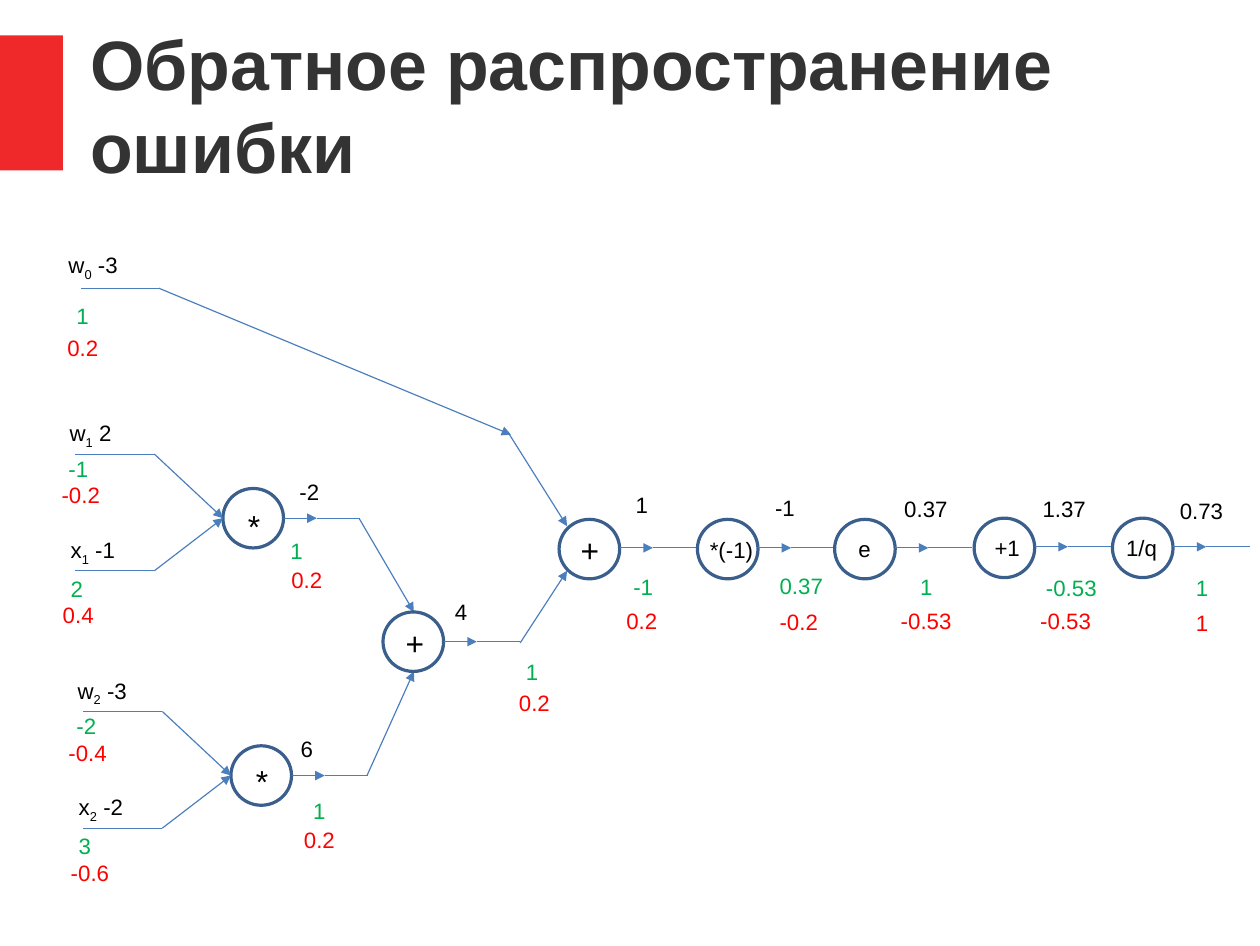
"""Draw the backpropagation slide: a computational graph with values and gradients."""
from dataclasses import dataclass
from math import ceil

from pptx import Presentation
from pptx.dml.color import RGBColor
from pptx.enum.shapes import MSO_CONNECTOR, MSO_SHAPE
from pptx.enum.text import MSO_ANCHOR, MSO_AUTO_SIZE
from pptx.oxml.ns import qn
from pptx.util import Emu, Pt

PX = 9144
OVAL, RECT = MSO_SHAPE.OVAL, MSO_SHAPE.RECTANGLE
STRAIGHT = MSO_CONNECTOR.STRAIGHT
MIDDLE, TOP = MSO_ANCHOR.MIDDLE, MSO_ANCHOR.TOP
GROW, FIXED = MSO_AUTO_SIZE.SHAPE_TO_FIT_TEXT, MSO_AUTO_SIZE.NONE
NODE_W, NODE_H = 53, 52
ARROW_W, OUTPUT_W = 29, 67
LABEL_PAD = 21
GLYPH_EM = {"-": 0.333, ".": 0.278, " ": 0.278, "/": 0.278, "*": 0.389, "+": 0.584,
            "(": 0.333, ")": 0.333, "w": 0.722, "x": 0.5}


@dataclass(frozen=True)
class Theme:
    font: str = "Arial"
    accent: str = "EF2929"
    title: str = "333333"
    wire: str = "4B7EBC"
    node: str = "3A5F8C"
    value: str = "000000"
    local: str = "00B050"
    grad: str = "FF0000"
    title_pt: int = 44
    sign_pt: int = 20
    label_pt: int = 14
    wire_pt: float = 0.75
    node_pt: float = 2


THEME = Theme()


@dataclass(frozen=True)
class Node:
    x: int
    y: int
    axis: int
    caption: str
    caption_x: int
    caption_y: int
    size: int = THEME.label_pt


@dataclass(frozen=True)
class Signal:
    value: str
    local: str
    grad: str
    value_at: tuple[int, int]
    local_at: tuple[int, int]
    grad_at: tuple[int, int]
    name: str = ""
    sub: str = ""


@dataclass(frozen=True)
class Wire:
    start: tuple[int, int]
    end: tuple[int, int]
    arrow: bool = True


SIGN = THEME.sign_pt
NODES = [
    Node(195, 427, 453, "*", 207, 438, SIGN),
    Node(202, 652, 678, "*", 214, 661, SIGN),
    Node(335, 535, 561, "+", 345, 540, SIGN),
    Node(489, 454, 479, "+", 498, 459, SIGN),
    Node(610, 454, 479, "*(-1)", 611, 464),
    Node(730, 454, 479, "e", 741, 463),
    Node(852, 453, 478, "+1", 860, 462),
    Node(973, 453, 478, "1/q", 975, 462),
]
SIGNALS = [
    Signal(" -3", "1", "0.2", (50, 215), (57, 259), (49, 287), "w", "0"),
    Signal(" 2", "-1", "-0.2", (51, 362), (50, 393), (44, 416), "w", "1"),
    Signal(" -1", "2", "0.4", (52, 464), (52, 498), (45, 521), "x", "1"),
    Signal(" -3", "-2", "-0.4", (58, 587), (57, 618), (50, 641), "w", "2"),
    Signal(" -2", "3", "-0.6", (59, 689), (59, 723), (52, 746), "x", "2"),
    Signal("-2", "1", "0.2", (252, 413), (244, 465), (245, 490)),
    Signal("6", "1", "0.2", (253, 638), (264, 692), (256, 717)),
    Signal("4", "1", "0.2", (388, 518), (450, 571), (444, 598)),
    Signal("1", "-1", "0.2", (546, 425), (544, 496), (538, 526)),
    Signal("-1", "0.37", "-0.2", (668, 427), (672, 495), (672, 527)),
    Signal("0.37", "1", "-0.53", (781, 428), (795, 496), (778, 526)),
    Signal("1.37", "-0.53", "-0.53", (902, 428), (905, 497), (900, 526)),
    Signal("0.73", "1", "1", (1022, 430), (1036, 497), (1036, 528)),
]
WIRES = [
    Wire((71, 252), (139, 252), False),
    Wire((139, 252), (447, 380)),
    Wire((445, 379), (496, 460)),
    Wire((314, 453), (362, 535)),
    Wire((321, 678), (362, 587)),
    Wire((455, 562), (496, 499)),
]


def emu(*lengths: int) -> list[Emu]:
    """Turn px into EMU."""
    return [Emu(n * PX) for n in lengths]


def text_width(text: str, size: int) -> float:
    """Estimate the width of a line in px."""
    return sum(GLYPH_EM.get(ch, 0.556) for ch in text) * size * 100 / 72


def add_run(p, text: str, *, size: int, color: str, bold: bool = False, sub: bool = False) -> None:
    """Append one formatted run."""
    r = p.add_run()
    r.text = text
    r.font.name, r.font.size, r.font.bold = THEME.font, Pt(size), bold
    r.font.color.rgb = RGBColor.from_string(color)
    if sub:
        r.font._element.set("baseline", "-25000")


def add_label(s, text: str, at: tuple[int, int], *, color: str = THEME.value,
              size: int = THEME.label_pt, name: str = "", sub: str = "") -> None:
    """Add a one-line label, with a subscripted name in front if given."""
    width = ceil(LABEL_PAD + text_width(name + text, size) + text_width(sub, size) * 0.66)
    sp = s.shapes.add_textbox(*emu(*at, width, 44 if size == SIGN else 34))
    tf = sp.text_frame
    tf.word_wrap, tf.auto_size, tf.vertical_anchor = False, GROW, TOP
    p = tf.paragraphs[0]
    if name:
        add_run(p, name, size=size, color=color)
        add_run(p, sub, size=size, color=color, sub=True)
    add_run(p, text, size=size, color=color)


def add_wire(s, wire: Wire) -> None:
    """Draw a straight wire, with an arrowhead at its end if asked."""
    sp = s.shapes.add_connector(STRAIGHT, *emu(*wire.start, *wire.end))
    sp.line.width = Pt(THEME.wire_pt)
    sp.line.color.rgb = RGBColor.from_string(THEME.wire)
    props = sp._element.spPr
    if wire.arrow:
        ln = props.find(qn("a:ln"))
        ln.append(ln.makeelement(qn("a:tailEnd"), {"type": "triangle"}))
    props.append(props.makeelement(qn("a:effectLst"), {}))


def add_node(s, node: Node) -> None:
    """Draw an operation with its caption and output wire."""
    sp = s.shapes.add_shape(OVAL, *emu(node.x, node.y, NODE_W, NODE_H))
    sp.shadow.inherit = False
    sp.fill.background()
    sp.line.width = Pt(THEME.node_pt)
    sp.line.color.rgb = RGBColor.from_string(THEME.node)
    add_label(s, node.caption, (node.caption_x, node.caption_y), size=node.size)
    x, y = node.x + NODE_W, node.axis
    add_wire(s, Wire((x, y), (x + ARROW_W, y)))
    add_wire(s, Wire((x + ARROW_W, y), (x + OUTPUT_W, y), False))


def add_inputs(s, gate: Node) -> None:
    """Draw the two bent wires that enter a product."""
    for y in (gate.axis - 56, gate.axis + 46):
        bend = (gate.x - 60, y)
        add_wire(s, Wire((gate.x - 129, y), bend, False))
        add_wire(s, Wire(bend, (gate.x, gate.axis)))


def add_signal(s, signal: Signal) -> None:
    """Write a value, its local derivative and its gradient."""
    add_label(s, signal.value, signal.value_at, name=signal.name, sub=signal.sub)
    add_label(s, signal.local, signal.local_at, color=THEME.local)
    add_label(s, signal.grad, signal.grad_at, color=THEME.grad)


def add_title(s, text: str) -> None:
    """Draw the accent block and the heading."""
    sp = s.shapes.add_shape(RECT, *emu(0, 31, 55, 118))
    sp.shadow.inherit = False
    sp.fill.solid()
    sp.fill.fore_color.rgb = RGBColor.from_string(THEME.accent)
    sp.line.fill.background()
    tf = s.shapes.add_textbox(*emu(79, 31, 968, 120)).text_frame
    tf.word_wrap, tf.auto_size, tf.vertical_anchor = True, FIXED, MIDDLE
    tf.margin_left = tf.margin_right = tf.margin_top = tf.margin_bottom = 0
    add_run(tf.paragraphs[0], text, size=THEME.title_pt, color=THEME.title, bold=True)


def main() -> None:
    """Build and save the slide."""
    prs = Presentation()
    prs.slide_width, prs.slide_height = emu(1102, 827)
    s = prs.slides.add_slide(prs.slide_layouts[6])
    add_title(s, "Обратное распространение ошибки")
    for wire in WIRES:
        add_wire(s, wire)
    for node in NODES:
        add_node(s, node)
    for gate in NODES[:2]:
        add_inputs(s, gate)
    for signal in SIGNALS:
        add_signal(s, signal)
    prs.save("out.pptx")


if __name__ == "__main__":
    main()
